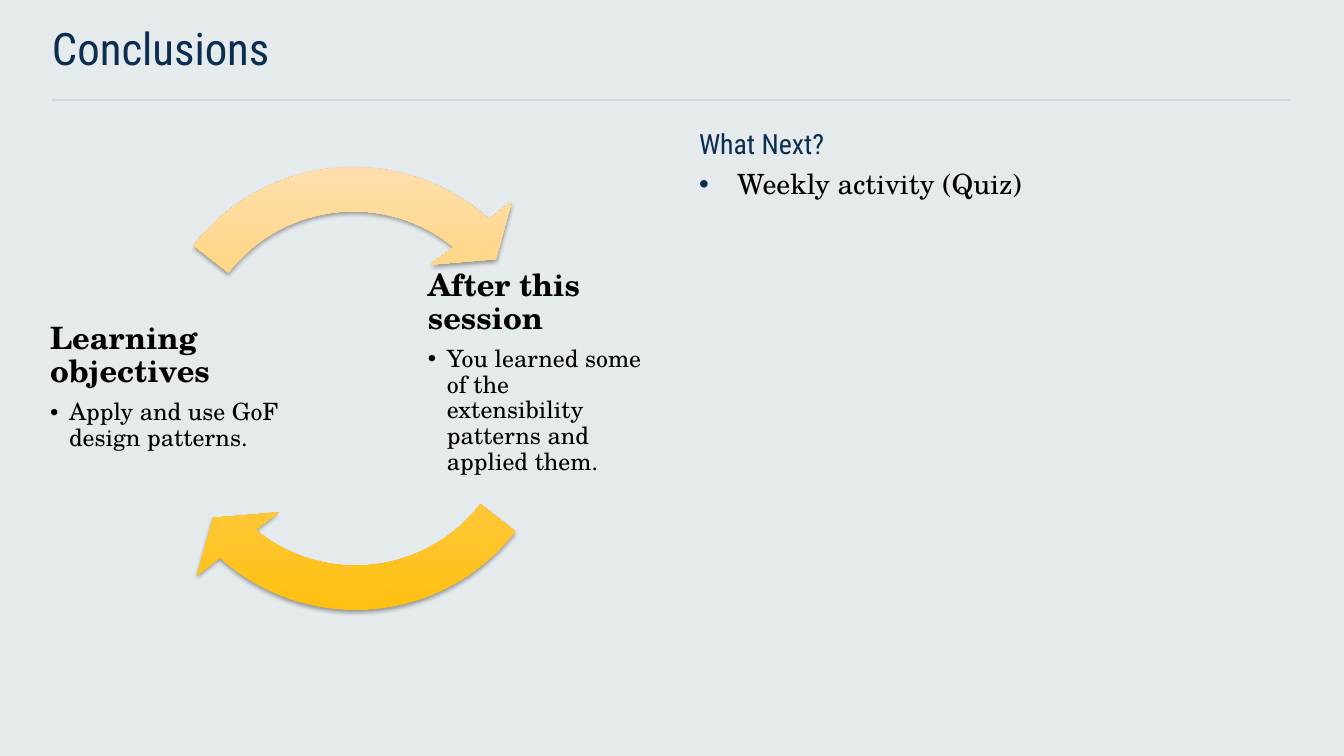
from dataclasses import dataclass

from lxml.etree import SubElement
from pptx import Presentation
from pptx.dml.color import RGBColor as RGB
from pptx.enum.shapes import MSO_CONNECTOR as Connector, MSO_SHAPE as Shape
from pptx.enum.text import MSO_ANCHOR as Anchor, MSO_AUTO_SIZE as AutoSize, PP_ALIGN as Align
from pptx.oxml.ns import qn
from pptx.util import Emu, Pt

EMU_PER_PX = 914400 / 100.8
TITLE_ONLY = 5


def px(length):
    return Emu(round(length * EMU_PER_PX))


@dataclass(frozen=True)
class Theme:
    heading_font: str = "Roboto Condensed"
    body_font: str = "TeX Gyre Schola"
    navy: RGB = RGB(0x0A, 0x2D, 0x50)
    black: RGB = RGB(0, 0, 0)
    rule: RGB = RGB(0xCD, 0xD7, 0xDC)
    ground: RGB = RGB(0xE5, 0xEA, 0xEC)
    amber: RGB = RGB(0xFF, 0xBE, 0x05)
    cream: RGB = RGB(0xFF, 0xE0, 0xB8)
    title_size: float = 32
    next_size: float = 19.9
    stage_size: float = 22
    point_size: float = 17


class SlideBuilder:
    def __init__(self, deck, theme):
        self.theme = theme
        self.slide = deck.slides.add_slide(deck.slide_layouts[TITLE_ONLY])
        ground = self.slide.background.fill
        ground.solid()
        ground.fore_color.rgb = theme.ground

    def frame(self, holder, inset=0, anchor=Anchor.TOP):
        frame = holder.text_frame
        margins = {f"margin_{side}": px(inset) for side in ("left", "top", "right", "bottom")}
        settings = {"word_wrap": True, "auto_size": AutoSize.NONE, "vertical_anchor": anchor}
        for name, value in {**margins, **settings}.items():
            setattr(frame, name, value)
        return frame

    def fill_paragraph(self, paragraph, text, face, size, color, bold=False, spacing=1.0,
                       after=0, indent=0, bullet_color=None):
        paragraph.text = text
        if indent:
            props = paragraph._p.get_or_add_pPr()
            props.set("marL", str(px(indent)))
            props.set("indent", str(-px(indent)))
            if bullet_color is not None:
                tint = SubElement(props, qn("a:buClr"))
                SubElement(tint, qn("a:srgbClr"), val=str(bullet_color))
            SubElement(props, qn("a:buFont"), typeface="Arial")
            SubElement(props, qn("a:buChar"), char="•")
        layout = {"alignment": Align.LEFT, "line_spacing": spacing,
                  "space_before": Pt(0), "space_after": Pt(after)}
        for name, value in layout.items():
            setattr(paragraph, name, value)
        for name, value in {"name": face, "size": Pt(size), "bold": bold}.items():
            setattr(paragraph.font, name, value)
        paragraph.font.color.rgb = color

    def title(self, text, left, top, width, height):
        holder = self.slide.shapes.title
        box = {"left": left, "top": top, "width": width, "height": height}
        for name, value in box.items():
            setattr(holder, name, px(value))
        t = self.theme
        heading = self.frame(holder).paragraphs[0]
        self.fill_paragraph(heading, text, t.heading_font, t.title_size, t.navy)

    def rule(self, left, right, y):
        line = self.slide.shapes.add_connector(
            Connector.STRAIGHT, px(left), px(y), px(right), px(y))
        line.line.color.rgb = self.theme.rule
        line.line.width = Pt(1)
        SubElement(line._element.spPr, qn("a:effectLst"))

    def text_pair(self, box, heading, point, heading_style, point_style,
                  inset=0, anchor=Anchor.TOP):
        holder = self.slide.shapes.add_textbox(*map(px, box))
        frame = self.frame(holder, inset, anchor)
        self.fill_paragraph(frame.paragraphs[0], heading, **heading_style)
        self.fill_paragraph(frame.add_paragraph(), point, **point_style)

    def cycle_arrow(self, left, top, size, head_end, tail_start):
        arrow = self.slide.shapes.add_shape(
            Shape.CIRCULAR_ARROW, px(left), px(top), px(size), px(size))
        for i, thousandths in enumerate((95, 6856, head_end, tail_start, 111)):
            arrow.adjustments[i] = thousandths / 1000
        arrow.fill.gradient()
        arrow.fill.gradient_angle = 90
        for stop, color in zip(arrow.fill.gradient_stops, (self.theme.amber, self.theme.cream)):
            stop.color.rgb = color
        arrow.line.fill.background()
        # Soft shadow straight below
        arrow.shadow.inherit = False
        effects = arrow._element.spPr.find(qn("a:effectLst"))
        shadow = SubElement(effects, qn("a:outerShdw"), blurRad=str(Pt(3.1)),
                            dist=str(Pt(1.8)), dir="5400000", rotWithShape="0")
        tint = SubElement(shadow, qn("a:srgbClr"), val="000000")
        SubElement(tint, qn("a:alpha"), val="35000")


def main():
    deck = Presentation()
    deck.slide_width, deck.slide_height = px(1344), px(756)
    theme = Theme()
    page = SlideBuilder(deck, theme)

    # Heading
    page.title("Conclusions", 52, 21, 1238, 80)
    page.rule(52, 1291, 100)

    # What comes next
    next_base = {"size": theme.next_size, "spacing": 1.2}
    page.text_pair(
        (699, 120, 593, 549), "What Next?", "Weekly activity (Quiz)",
        {**next_base, "face": theme.heading_font, "color": theme.navy},
        {**next_base, "face": theme.body_font, "color": theme.black,
         "indent": 38, "bullet_color": theme.navy})

    # Learning cycle: each stage followed by its arrow
    stage_base = {"face": theme.body_font, "color": theme.black, "spacing": 0.9}
    stage_style = {**stage_base, "size": theme.stage_size, "bold": True, "after": 7.7}
    point_style = {**stage_base, "size": theme.point_size, "after": 2.55, "indent": 19}
    cycle = (
        ((425, 260, 225, 225), "After this session",
         "You learned some of the extensibility patterns and applied them.",
         (124, 176, 463, 78477, 22667)),
        ((47, 275, 246, 225), "Learning objectives",
         "Apply and use GoF design patterns.",
         (122, 138, 463, 186477, 130667)),
    )
    for box, stage, point, arrow in cycle:
        page.text_pair(box, stage, point, stage_style, point_style, 3, Anchor.MIDDLE)
        page.cycle_arrow(*arrow)

    deck.save("out.pptx")


if __name__ == "__main__":
    main()
